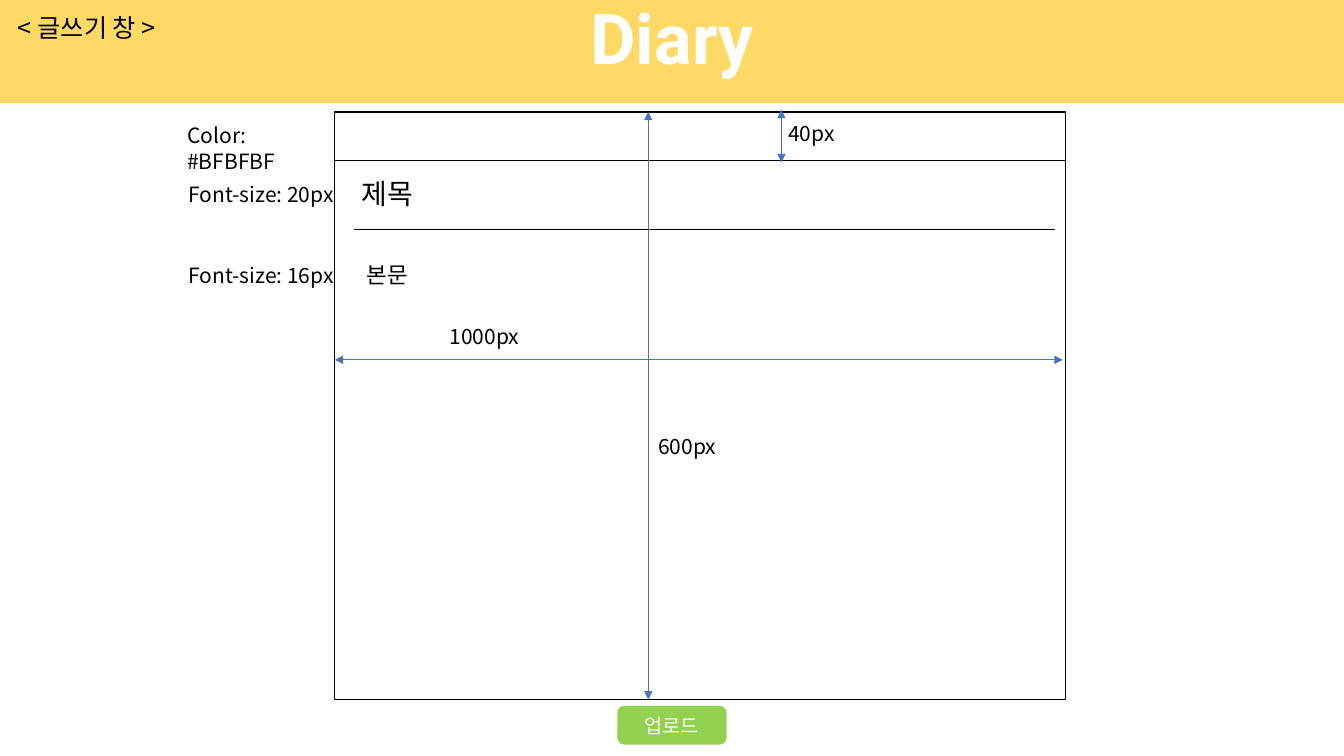
from lxml import etree
from pptx import Presentation
from pptx.dml.color import RGBColor
from pptx.enum.shapes import MSO_CONNECTOR, MSO_SHAPE
from pptx.enum.text import MSO_ANCHOR, MSO_AUTO_SIZE, PP_ALIGN
from pptx.oxml.ns import qn
from pptx.util import Inches, Pt

YELLOW = RGBColor(0xFF, 0xD9, 0x66)
GREEN = RGBColor(0x92, 0xD0, 0x50)
BLUE = RGBColor(0x44, 0x72, 0xC4)
BLACK = RGBColor(0, 0, 0)
WHITE = RGBColor(0xFF, 0xFF, 0xFF)
KOREAN = "Noto Sans CJK KR"

deck = Presentation()
deck.slide_width, deck.slide_height = Inches(13.33), Inches(7.5)
slide = deck.slides.add_slide(deck.slide_layouts[5])
shapes = slide.shapes


def write(frame, text, size, color, font=KOREAN):
    """Fill a text frame with one run, in one font for Latin and Hangul."""
    frame.text = text
    run = frame.paragraphs[0].runs[0]
    run.font.size, run.font.name = Pt(size), font
    run.font.color.rgb = color
    etree.SubElement(run.font._element, qn("a:ea"), typeface=font)
    return run


def paint(shape, fill, line):
    shape.fill.solid()
    shape.fill.fore_color.rgb = fill
    shape.line.color.rgb = line
    shape.line.width = Pt(1)


# Header band
header = shapes.title
header.left, header.top = 0, Inches(-0.02)
header.width, header.height = deck.slide_width, Inches(1.04)
paint(header, YELLOW, YELLOW)
band = header.text_frame
band.auto_size = MSO_AUTO_SIZE.NONE
band.vertical_anchor = MSO_ANCHOR.MIDDLE
band.margin_top, band.margin_bottom = 0, Inches(0.28)
write(band, "Diary", 50, WHITE, "Roboto").font.bold = True
band.paragraphs[0].alignment = PP_ALIGN.CENTER

# Editor window and upload button
LEFT, TOP, WIDTH, HEIGHT = 3.32, 1.11, 7.25, 5.83
RIGHT, BOTTOM = LEFT + WIDTH, TOP + HEIGHT
TOOLBAR = 1.59
editor = shapes.add_shape(MSO_SHAPE.RECTANGLE, Inches(LEFT), Inches(TOP),
                          Inches(WIDTH), Inches(HEIGHT))
paint(editor, WHITE, BLACK)
upload = shapes.add_shape(MSO_SHAPE.ROUNDED_RECTANGLE, Inches(6.13), Inches(7.01),
                          Inches(1.07), Inches(0.37))
paint(upload, GREEN, GREEN)
write(upload.text_frame, "업로드", 14, WHITE)
upload.text_frame.vertical_anchor = MSO_ANCHOR.MIDDLE
upload.text_frame.paragraphs[0].alignment = PP_ALIGN.CENTER
for box in (editor, upload):
    box.shadow.inherit = False

# Rules inside the editor (black) and measuring arrows (blue)
for x1, y1, x2, y2, color in [
    (LEFT, TOOLBAR, RIGHT, TOOLBAR, BLACK),
    (3.51, 2.28, 10.46, 2.28, BLACK),
    (10.54, 3.57, LEFT, 3.57, BLUE),
    (6.43, BOTTOM, 6.43, TOP, BLUE),
    (7.75, 1.61, 7.75, 1.09, BLUE),
]:
    rule = shapes.add_connector(MSO_CONNECTOR.STRAIGHT, Inches(x1), Inches(y1),
                                Inches(x2), Inches(y2))
    rule.line.color.rgb = color
    rule.line.width = Pt(0.5)
    if color == BLUE:
        for end in ("a:headEnd", "a:tailEnd"):
            etree.SubElement(rule.line._ln, qn(end), type="triangle")
    etree.SubElement(rule._element.spPr, qn("a:effectLst"))

# Labels
for text, x, y, width, height, size in [
    ("< 글쓰기 창 >", 0.08, 0.07, 1.69, 0.4, 18),
    ("제목", 3.49, 1.7, 1.47, 0.44, 20),
    ("본문", 3.54, 2.54, 1.02, 0.37, 16),
    ("Font-size: 20px", 1.77, 1.75, 1.66, 0.35, 15),
    ("Font-size: 16px", 1.77, 2.56, 1.65, 0.35, 15),
    ("Color: #BFBFBF", 1.76, 1.17, 1.66, 0.35, 15),
    ("1000px", 4.36, 3.16, 1.12, 0.35, 15),
    ("600px", 6.43, 4.25, 0.86, 0.35, 15),
    ("40px", 7.72, 1.15, 0.86, 0.35, 15),
]:
    label = shapes.add_textbox(Inches(x), Inches(y), Inches(width), Inches(height))
    label.text_frame.word_wrap = True
    label.text_frame.auto_size = MSO_AUTO_SIZE.SHAPE_TO_FIT_TEXT
    write(label.text_frame, text, size, BLACK)

deck.save("out.pptx")
